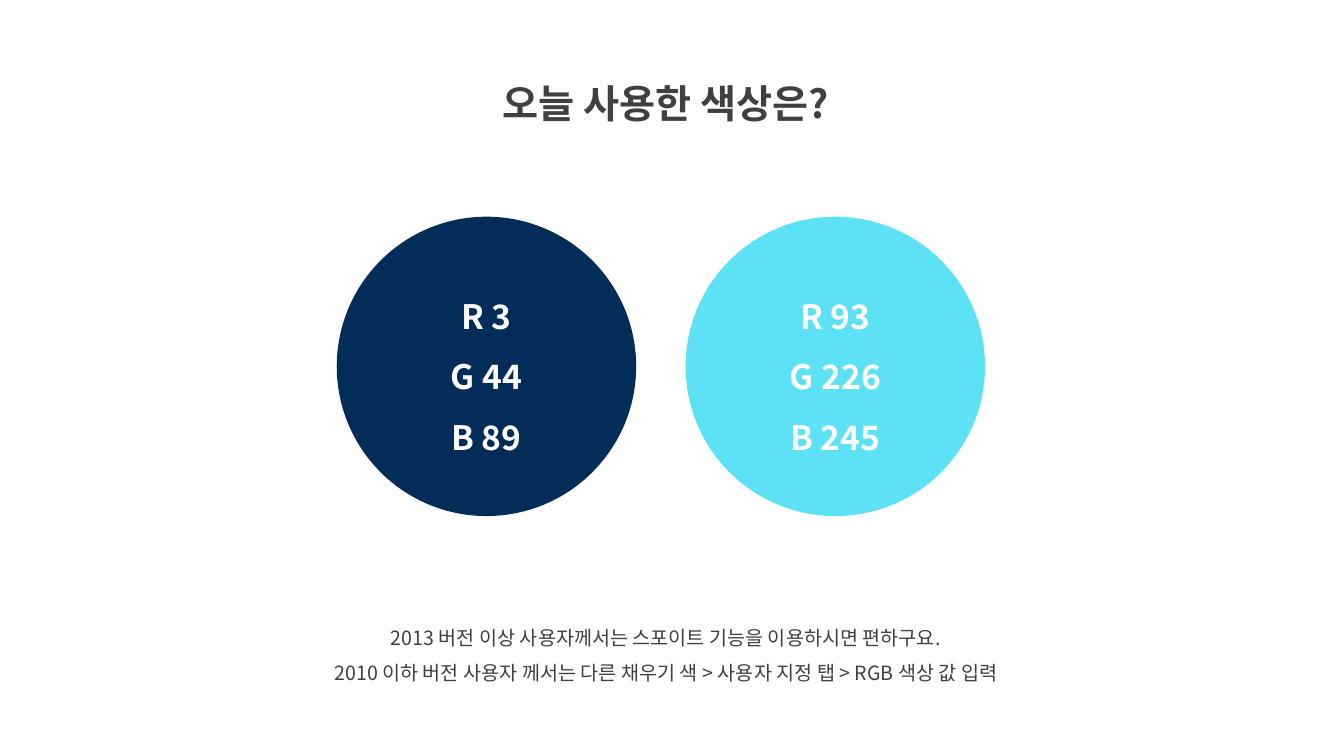
"""Build the slide that lists the two colours used today."""
import pptx
import pptx.dml.color
import pptx.enum.shapes
import pptx.enum.text
import pptx.oxml.ns
import pptx.util
from lxml import etree

Inches = pptx.util.Inches
Anchor = pptx.enum.text.MSO_ANCHOR
FONT = "Noto Sans CJK KR"
COLORS = {"text": "404040", "white": "FFFFFF", "navy": "032C59", "cyan": "5DE2F5"}


def color(name):
    return pptx.dml.color.RGBColor.from_string(COLORS[name])


def write(shape, lines, size, tone, bold, anchor):
    frame = shape.text_frame
    frame.text = "\n".join(lines)
    frame.word_wrap = True
    frame.vertical_anchor = anchor
    for para in frame.paragraphs:
        para.alignment = pptx.enum.text.PP_ALIGN.CENTER
        para.line_spacing = 1.5
        font = para.font
        font.size = pptx.util.Pt(size)
        font.bold = bold
        font.color.rgb = color(tone)
        font.name = FONT
        etree.SubElement(font._element, pptx.oxml.ns.qn("a:ea"), typeface=FONT)


deck = pptx.Presentation()
deck.slide_width = Inches(13.33)
deck.slide_height = Inches(7.5)
slide = deck.slides.add_slide(deck.slide_layouts[5])

title = slide.shapes.title
title.left, title.top = Inches(4.29), Inches(0.5)
title.width, title.height = Inches(4.63), Inches(0.72)
write(title, ["오늘 사용한 색상은?"], 28, "text", True, Anchor.TOP)
title.text_frame.auto_size = pptx.enum.text.MSO_AUTO_SIZE.SHAPE_TO_FIT_TEXT

note = slide.shapes.add_textbox(Inches(2.61), Inches(6.04), Inches(7.99), Inches(0.81))
tips = [
    "2013 버전 이상 사용자께서는 스포이트 기능을 이용하시면 편하구요.",
    "2010 이하 버전 사용자 께서는 다른 채우기 색 > 사용자 지정 탭 > RGB 색상 값 입력",
]
write(note, tips, 14, "text", False, Anchor.TOP)
note.text_frame.auto_size = pptx.enum.text.MSO_AUTO_SIZE.SHAPE_TO_FIT_TEXT

side = Inches(2.97)
for index, name in enumerate(["navy", "cyan"]):
    left = Inches(3.34 + 3.46 * index)
    disc = slide.shapes.add_shape(
        pptx.enum.shapes.MSO_SHAPE.OVAL, left, Inches(2.15), side, side
    )
    disc.shadow.inherit = False
    disc.fill.solid()
    disc.fill.fore_color.rgb = color(name)
    disc.line.fill.background()
    lines = [f"{band} {value}" for band, value in zip("RGB", color(name))]
    write(disc, lines, 24, "white", True, Anchor.MIDDLE)

deck.save("out.pptx")
